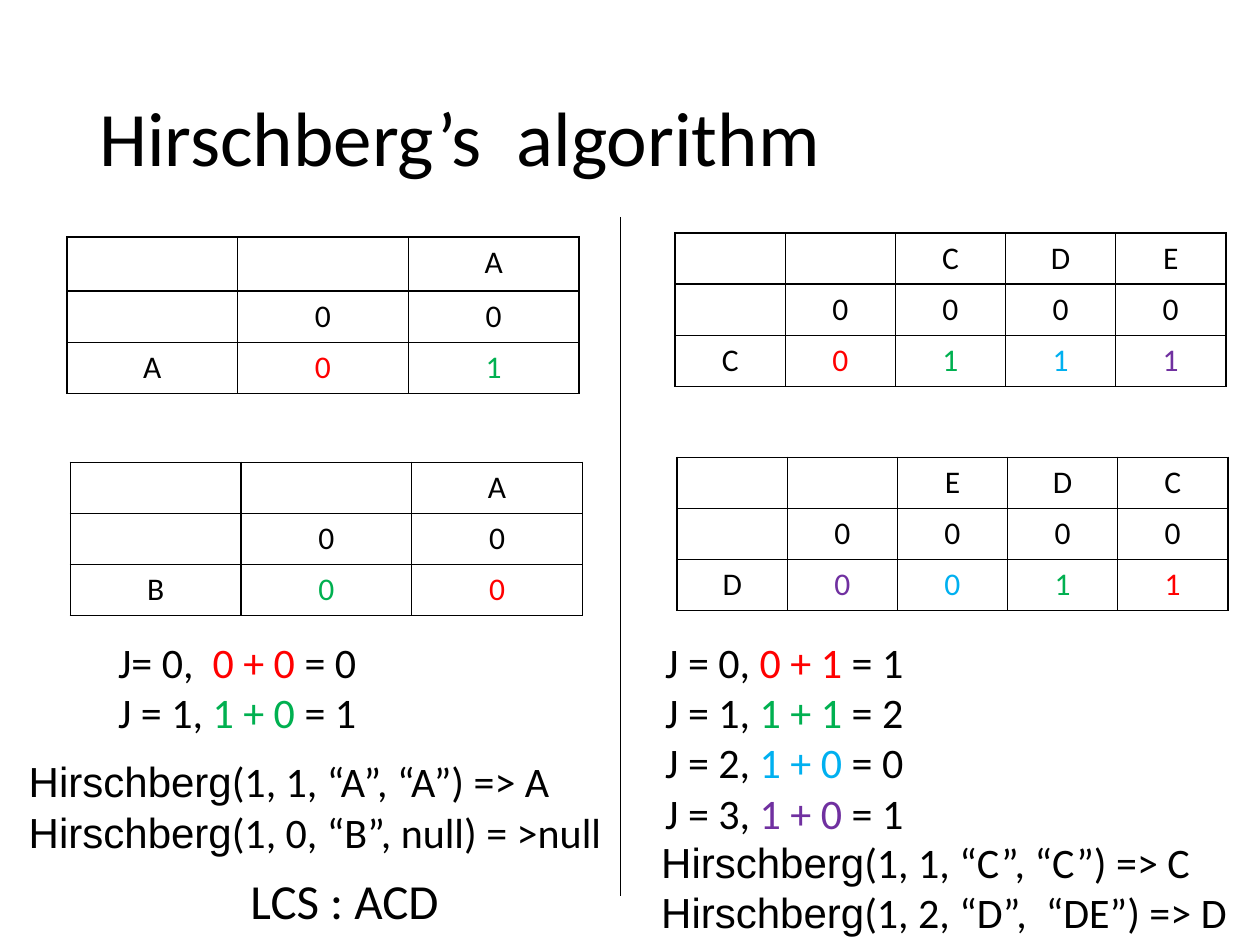
"""Build the slide that works through Hirschberg's algorithm on two subproblems."""
from lxml.etree import SubElement
from pptx import Presentation
from pptx.dml.color import RGBColor
from pptx.enum.shapes import MSO_CONNECTOR as Connector
from pptx.enum.text import MSO_ANCHOR as Anchor, MSO_AUTO_SIZE as AutoSize, PP_ALIGN as Align
from pptx.oxml.ns import qn
from pptx.util import Cm, Pt

BLACK = RGBColor(0x00, 0x00, 0x00)
WHITE = RGBColor(0xFF, 0xFF, 0xFF)
RED = RGBColor(0xFF, 0x00, 0x00)
GREEN = RGBColor(0x00, 0xB0, 0x50)
BLUE = RGBColor(0x00, 0xB0, 0xF0)
PURPLE = RGBColor(0x70, 0x30, 0xA0)


class SlideBuilder:
    body_font = "Calibri"
    call_font = "Arial"
    row_height = 1.03

    def __init__(self, slide):
        self.slide = slide

    def style(self, run, size, color=BLACK, font=body_font):
        run.font.size = Pt(size)
        run.font.name = font
        run.font.color.rgb = color

    def text(self, left, top, width, height, lines, size=24):
        shape = self.slide.shapes.add_textbox(Cm(left), Cm(top), Cm(width), Cm(height))
        frame = shape.text_frame
        frame.word_wrap = False
        frame.auto_size = AutoSize.SHAPE_TO_FIT_TEXT
        for index, line in enumerate(lines):
            paragraph = frame.add_paragraph() if index else frame.paragraphs[0]
            for content, *look in line:
                run = paragraph.add_run()
                run.text = content
                self.style(run, size, *look)
        return shape

    def title(self, left, top, width, height, content):
        frame = self.text(left, top, width, height, [[(content,)]], 44).text_frame
        frame.auto_size = AutoSize.NONE
        frame.word_wrap = True
        frame.vertical_anchor = Anchor.MIDDLE
        frame.paragraphs[0].line_spacing = 0.9

    def sums(self, left, top, width, height, rows):
        self.text(left, top, width, height, [
            [(label,), (terms, color), (result,)] for label, terms, color, result in rows])

    def calls(self, left, top, width, height, arguments):
        self.text(left, top, width, height, [
            [("Hirschberg", BLACK, self.call_font), (argument,)] for argument in arguments])

    def border(self, cell):
        properties = cell._tc.get_or_add_tcPr()
        for side in ("lnL", "lnR", "lnT", "lnB"):
            line = SubElement(properties, qn(f"a:{side}"), w=str(Pt(1)))
            fill = SubElement(line, qn("a:solidFill"))
            SubElement(fill, qn("a:srgbClr"), val=str(BLACK))

    def score_table(self, left, top, column_width, columns, letter, scores, header_height=row_height):
        rows = [["", "", *columns], ["", *"0" * len(scores)],
                [letter, *(value for value, _ in scores)]]
        heights = [header_height, self.row_height, self.row_height]
        count = len(rows[0])
        table = self.slide.shapes.add_table(
            len(rows), count, Cm(left), Cm(top), Cm(column_width * count), Cm(sum(heights))).table
        table.first_row = table.horz_banding = False
        for column in table.columns:
            column.width = Cm(column_width)
        for r, values in enumerate(rows):
            table.rows[r].height = Cm(heights[r])
            for c, value in enumerate(values):
                cell = table.cell(r, c)
                self.border(cell)
                if r and c:
                    cell.fill.solid()
                    cell.fill.fore_color.rgb = WHITE
                else:
                    cell.fill.background()
                cell.text_frame.text = value
                paragraph = cell.text_frame.paragraphs[0]
                paragraph.alignment = Align.CENTER
                color = scores[c - 1][1] if r == 2 and c else BLACK
                for run in paragraph.runs:
                    self.style(run, 18, color)

    def divider(self, x, top, bottom):
        line = self.slide.shapes.add_connector(Connector.STRAIGHT, Cm(x), Cm(top), Cm(x), Cm(bottom))
        line.line.color.rgb = BLACK
        line.line.width = Pt(0.5)
        SubElement(line._element.spPr, qn("a:effectLst"))


def main():
    presentation = Presentation()
    presentation.slide_width, presentation.slide_height = Cm(25.4), Cm(19.05)
    builder = SlideBuilder(presentation.slides.add_slide(presentation.slide_layouts[6]))

    builder.title(1.75, 1.02, 21.9, 3.68, "Hirschberg’s  algorithm")
    builder.score_table(1.35, 4.78, 3.44, "A", "A", [("0", RED), ("1", GREEN)], 1.09)
    builder.score_table(1.42, 9.32, 3.44, "A", "B", [("0", GREEN), ("0", RED)])
    builder.score_table(13.61, 4.7, 2.22, "CDE", "C",
                        [("0", RED), ("1", GREEN), ("1", BLUE), ("1", PURPLE)])
    builder.score_table(13.65, 9.22, 2.22, "EDC", "D",
                        [("0", PURPLE), ("0", BLUE), ("1", GREEN), ("1", RED)])
    builder.divider(12.5, 4.37, 18.06)

    builder.sums(2.13, 12.7, 5.36, 2.31, [
        ("J= 0,  ", "0 + 0 ", RED, "= 0"),
        ("J = 1, ", "1 + 0 ", GREEN, "= 1")])
    builder.sums(13.16, 12.7, 5.36, 4.37, [
        ("J = 0, ", "0 + 1 ", RED, "= 1"),
        ("J = 1, ", "1 + 1 ", GREEN, "= 2"),
        ("J = 2, ", "1 + 0 ", BLUE, "= 0"),
        ("J = 3, ", "1 + 0 ", PURPLE, "= 1")])
    builder.text(4.8, 17.42, 4.34, 1.45, [[("LCS : ACD",)]], 28)
    builder.calls(0.33, 15.11, 12.17, 2.31, ["(1, 1, “A”, “A”) => A", "(1, 0, “B”, null) = >null"])
    builder.calls(13.08, 16.74, 12.01, 2.31, ["(1, 1, “C”, “C”) => C", "(1, 2, “D”,  “DE”) => D"])
    presentation.save("out.pptx")


if __name__ == "__main__":
    main()
